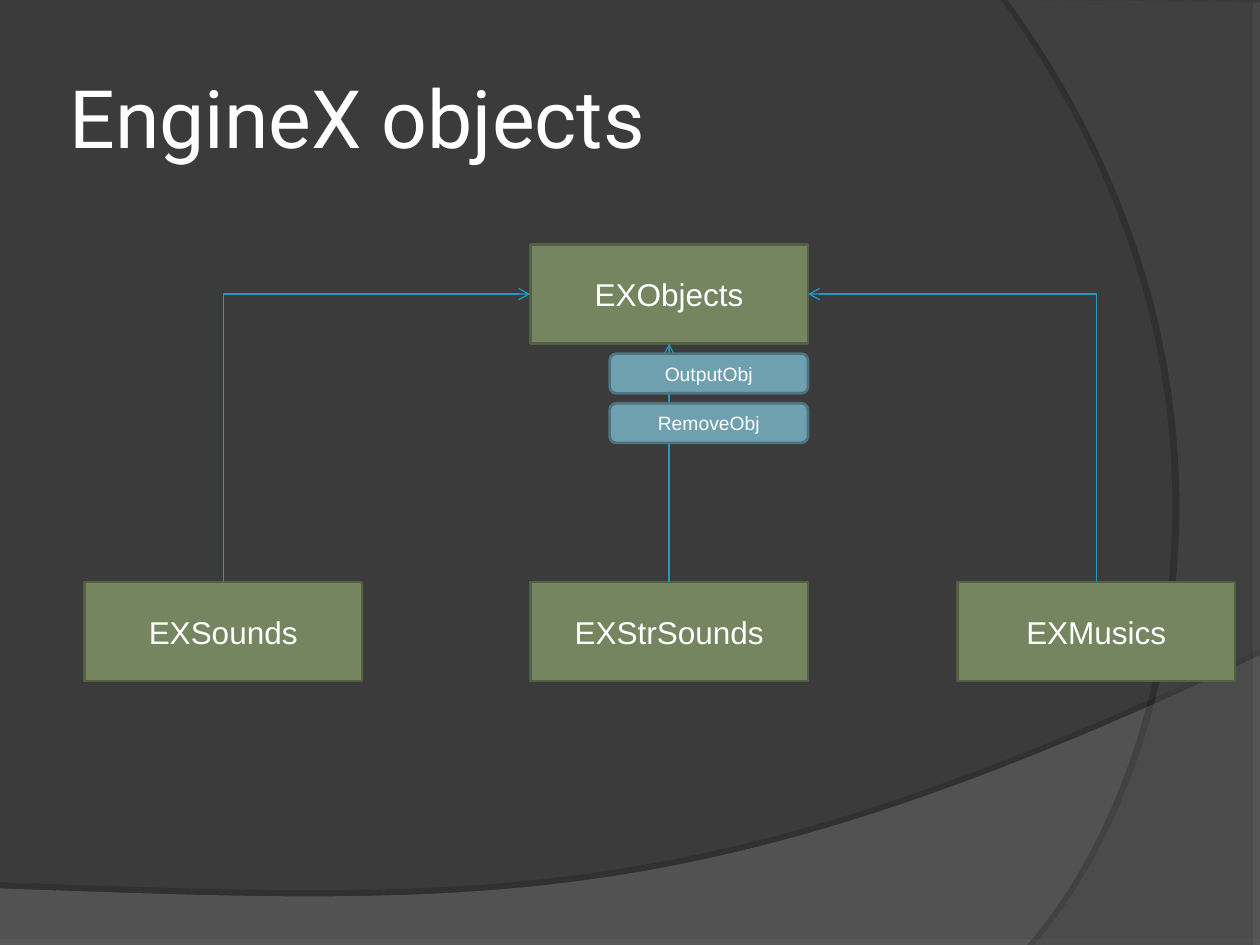
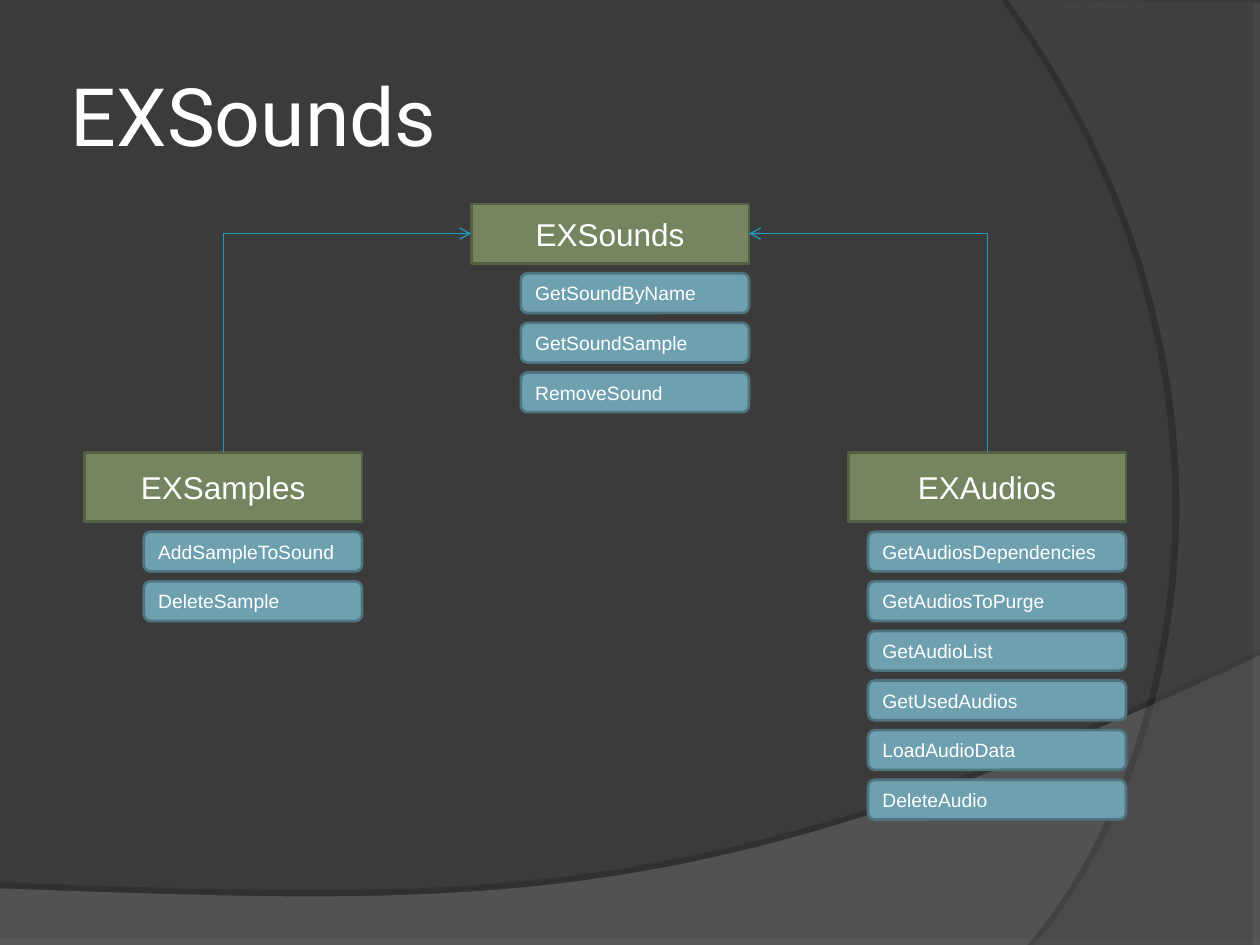
from lxml import etree
from pptx import Presentation
from pptx import util as u
from pptx.dml.color import RGBColor
from pptx.enum import shapes, text
from pptx.oxml.ns import qn

PAGE_W, PAGE_H = 25.4, 19.05
WHITE, BACKGROUND, LINK = "FFFFFF", "3B3B3B", "219AC1"
CLASS_STYLE = {"kind": shapes.MSO_SHAPE.RECTANGLE, "fill": "748560", "edge": "536044", "size": 18}
METHOD_STYLE = {"kind": shapes.MSO_SHAPE.ROUNDED_RECTANGLE, "fill": "6EA0B0", "edge": "4F7480", "size": 11}
CLASS_W, METHOD_H, METHOD_GAP = 5.6, 0.8, 0.2
TITLE_W, TITLE_H, TITLE_INSET = 20.75, 3.18, 0.13
TOP, LEFT, BOTTOM, RIGHT = range(4)
CENTER, FLUSH_LEFT = text.PP_ALIGN.CENTER, text.PP_ALIGN.LEFT

BACKDROP = [
    {"corners": [(0, 19.05), (25.4, 19.05)],
     "curve": [(25.4, 13.21), (14.2, 18.52), (9.93, 18.26), (0, 17.91)],
     "fill": "7C7C7C", "opacity": 45, "shadow": (35, 3.5, 270)},
    {"corners": [(25.4, 0.05), (25.4, 19.05)],
     "curve": [(20.85, 19.05), (23.75, 15.72), (25.86, 7.62), (20.32, 0)],
     "fill": "595959", "opacity": 40, "shadow": (45, 4, 180)},
]

DIAGRAMS = [
    {"title": "EngineX objects", "title_at": (1.27, 0.76), "method_align": CENTER,
     "classes": [
         ("EXObjects", 10.69, 4.93, 2, 4, ["OutputObj", "RemoveObj"]),
         ("EXSounds", 1.7, 11.73, 2, 0, []),
         ("EXStrSounds", 10.69, 11.73, 2, 0, []),
         ("EXMusics", 19.3, 11.73, 2, 0, []),
     ],
     "links": [("EXSounds", "EXObjects", LEFT), ("EXStrSounds", "EXObjects", BOTTOM),
               ("EXMusics", "EXObjects", RIGHT)]},
    {"title": "EXSounds", "title_at": (1.3, 0.71), "method_align": FLUSH_LEFT,
     "classes": [
         ("EXSounds", 9.5, 4.11, 1.2, 4.6, ["GetSoundByName", "GetSoundSample", "RemoveSound"]),
         ("EXSamples", 1.7, 9.12, 1.4, 4.4, ["AddSampleToSound", "DeleteSample"]),
         ("EXAudios", 17.1, 9.12, 1.4, 5.2,
          ["GetAudiosDependencies", "GetAudiosToPurge", "GetAudioList",
           "GetUsedAudios", "LoadAudioData", "DeleteAudio"]),
     ],
     "links": [("EXSamples", "EXSounds", LEFT), ("EXAudios", "EXSounds", RIGHT)]},
]


def color(value):
    return RGBColor.from_string(value)


def cm(*lengths):
    return [u.Cm(length) for length in lengths]


def paint(shape, fill):
    shape.fill.solid()
    shape.fill.fore_color.rgb = color(fill)
    shape.shadow.inherit = False


def write(frame, words, size, font, align):
    frame.word_wrap = True
    frame.vertical_anchor = text.MSO_ANCHOR.MIDDLE
    para = frame.paragraphs[0]
    para.alignment = align
    span = para.add_run()
    span.text = words
    span.font.size = u.Pt(size)
    span.font.name = font
    span.font.color.rgb = color(WHITE)


def bezier(points, steps=60):
    a, b, c, d = points
    for step in range(steps + 1):
        t = step / steps
        s = 1 - t
        yield [s**3 * a[i] + 3 * s * s * t * b[i] + 3 * s * t * t * c[i] + t**3 * d[i] for i in (0, 1)]


def add_backdrop(page, layout):
    for swoosh in BACKDROP:
        outline = [cm(*point) for point in swoosh["corners"] + list(bezier(swoosh["curve"]))]
        builder = page.shapes.build_freeform(*outline[0])
        builder.add_line_segments(outline[1:], close=True)
        shape = builder.convert_to_shape()
        shape.line.fill.background()
        paint(shape, swoosh["fill"])
        tint = shape.element.spPr.find(qn("a:solidFill")).find(qn("a:srgbClr"))
        etree.SubElement(tint, qn("a:alpha"), val=str(swoosh["opacity"] * 1000))
        opacity, distance, angle = swoosh["shadow"]
        effects = shape.element.spPr.find(qn("a:effectLst"))
        shadow = etree.SubElement(effects, qn("a:outerShdw"), blurRad="0", dist=str(u.Pt(distance)),
                                  dir=str(angle * 60000), algn="ctr", rotWithShape="0")
        shade = etree.SubElement(shadow, qn("a:srgbClr"), val="000000")
        etree.SubElement(shade, qn("a:alpha"), val=str(opacity * 1000))
        layout.shapes.element.append(shape.element)


def add_title(page, words, at):
    box = page.shapes.add_textbox(*cm(*at, TITLE_W, TITLE_H))
    frame = box.text_frame
    frame.margin_left = frame.margin_right = frame.margin_top = frame.margin_bottom = u.Cm(TITLE_INSET)
    write(frame, words, 46, "Roboto", FLUSH_LEFT)


def add_box(page, words, place, style, align=CENTER):
    box = page.shapes.add_shape(style["kind"], *cm(*place))
    paint(box, style["fill"])
    box.line.color.rgb = color(style["edge"])
    box.line.width = u.Pt(1.5)
    write(box.text_frame, words, style["size"], "Arial", align)
    return box


def add_link(page, child, parent, side):
    straight = side == BOTTOM
    kind = shapes.MSO_CONNECTOR.STRAIGHT if straight else shapes.MSO_CONNECTOR.ELBOW
    link = page.shapes.add_connector(kind, 0, 0, 0, 0)
    link.begin_connect(child, TOP)
    link.end_connect(parent, side)
    link.line.color.rgb = color(LINK)
    link.line.width = u.Pt(0.75)
    properties = link.element.spPr
    etree.SubElement(properties.find(qn("a:ln")), qn("a:tailEnd"), type="arrow")
    etree.SubElement(properties, qn("a:effectLst"))
    if not straight:
        turn_elbow(link, side)


def turn_elbow(link, side):
    properties = link.element.spPr
    properties.find(qn("a:prstGeom")).set("prst", "bentConnector2")
    width, height = link.width, link.height
    link.left += (width - height) // 2
    link.top += (height - width) // 2
    link.width, link.height = height, width
    turn = properties.find(qn("a:xfrm"))
    turn.set("rot", str((90 if side == LEFT else 270) * 60000))
    turn.set("flipH", "1" if side == LEFT else "0")
    turn.set("flipV", "1")


def add_diagram(page, diagram):
    add_title(page, diagram["title"], diagram["title_at"])
    boxes = {name: add_box(page, name, (x, y, CLASS_W, height), CLASS_STYLE)
             for name, x, y, height, _, _ in diagram["classes"]}
    for child, parent, side in diagram["links"]:
        add_link(page, boxes[child], boxes[parent], side)
    for _, x, y, height, width, methods in diagram["classes"]:
        for row, method in enumerate(methods):
            top = y + height + METHOD_GAP + row * (METHOD_H + METHOD_GAP)
            add_box(page, method, (x + CLASS_W - width, top, width, METHOD_H),
                    METHOD_STYLE, diagram["method_align"])


def main():
    deck = Presentation()
    deck.slide_width, deck.slide_height = cm(PAGE_W, PAGE_H)
    backdrop = deck.slide_master.background.fill
    backdrop.solid()
    backdrop.fore_color.rgb = color(BACKGROUND)
    blank = deck.slide_layouts[6]
    pages = [deck.slides.add_slide(blank) for _ in DIAGRAMS]
    add_backdrop(pages[0], blank)
    for page, diagram in zip(pages, DIAGRAMS):
        add_diagram(page, diagram)
    deck.save("out.pptx")


if __name__ == "__main__":
    main()
